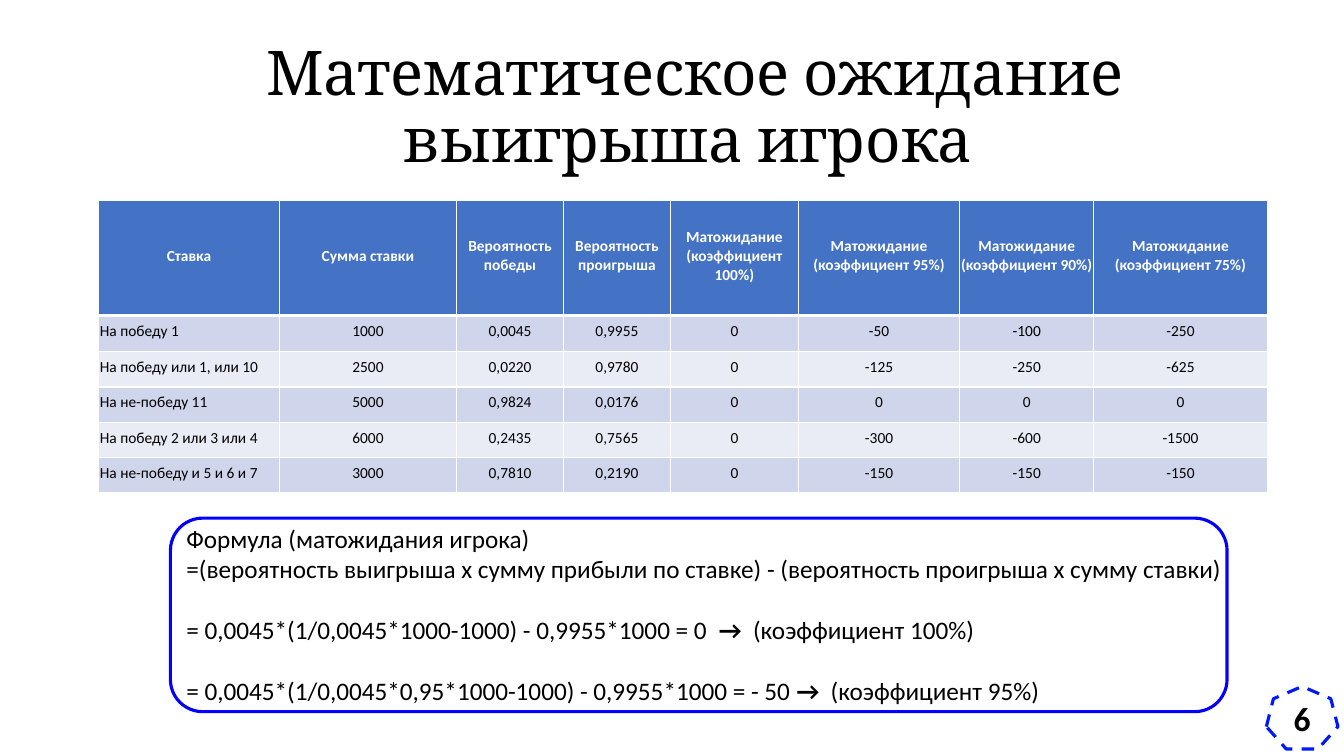
from pptx import Presentation
from pptx.dml.color import RGBColor
from pptx.enum.dml import MSO_LINE
from pptx.enum.shapes import MSO_SHAPE as SHAPE
from pptx.enum.text import MSO_ANCHOR as ANCHOR, PP_ALIGN as ALIGN
from pptx.oxml import parse_xml
from pptx.oxml.ns import nsdecls, qn
from pptx.util import Inches, Pt
from copy import deepcopy

TITLE = "Математическое ожидание выигрыша игрока "
HEADERS = ["Ставка", "Сумма ставки", "Вероятность\vпобеды", "Вероятность\vпроигрыша"]
HEADERS += [f"Матожидание\v(коэффициент {k}%)" for k in (100, 95, 90, 75)]
BETS = [
    ["На победу 1", "1000", "0,0045", "0,9955", "0", "-50", "-100", "-250"],
    ["На победу или 1, или 10", "2500", "0,0220", "0,9780", "0", "-125", "-250", "-625"],
    ["На не-победу 11", "5000", "0,9824", "0,0176", "0", "0", "0", "0"],
    ["На победу 2 или 3 или 4", "6000", "0,2435", "0,7565", "0", "-300", "-600", "-1500"],
    ["На не-победу и 5 и 6 и 7", "3000", "0,7810", "0,2190", "0", "-150", "-150", "-150"],
]
COL_WIDTHS = [1.79, 1.76, 1.06, 1.06, 1.27, 1.6, 1.33, 1.72]
ROW_HEIGHTS = [1.14, 0.36, 0.35, 0.35, 0.35, 0.35]
FORMULA = [
    (["Формула (матожидания игрока)"], 0),
    (["=(вероятность выигрыша x сумму прибыли по ставке) - "
      "(вероятность проигрыша x сумму ставки)"], 0),
    (["= 0,0045*(1/0,0045*1000-1000) - 0,9955*1000 = 0  ", "→ ",
      " (коэффициент 100%)"], 22),
    (["= 0,0045*(1/0,0045*0,95*1000-1000) - 0,9955*1000 = - 50 ", "→",
      "  (коэффициент 95%)"], 22),
]


def rgb(color):
    """Turn a hex string into a colour."""
    return RGBColor.from_string(color)


class SlideBuilder:
    """Holds the style and the current slide."""

    base = {"name": "Calibri", "size": Pt(18), "bold": False}
    white, black = "FFFFFF", "000000"
    header, bands = "4472C4", ("CFD5EA", "E9EBF5")

    def __init__(self, prs):
        """Add a slide with a title only."""
        self.slide = prs.slides.add_slide(prs.slide_layouts[5])
        self.shapes = self.slide.shapes

    def style(self, r, color=black, **changes):
        """Format one run."""
        for key, value in {**self.base, **changes}.items():
            setattr(r.font, key, value)
        r.font.color.rgb = rgb(color)

    def paragraph(self, p, text, align=ALIGN.CENTER, **changes):
        """Fill a paragraph, line breaks included."""
        p.text, p.alignment = text, align
        for r in p.runs:
            self.style(r, **changes)
        for br in p._p.findall(qn("a:br")):
            br.append(deepcopy(p.runs[0].font._rPr))

    def title(self, text, box):
        """Place and fill the title."""
        sp = self.shapes.title
        sp.left, sp.top, sp.width, sp.height = map(Inches, box)
        sp.text_frame.word_wrap = True
        sp.text_frame.vertical_anchor = ANCHOR.MIDDLE
        p = sp.text_frame.paragraphs[0]
        p.line_spacing = 0.9
        self.paragraph(p, text, name="Cambria", size=Pt(44))

    def shape(self, kind, box, line, dash=None):
        """Add a white outlined shape."""
        sp = self.shapes.add_shape(kind, *map(Inches, box))
        sp.shadow.inherit = False
        sp.fill.solid()
        sp.fill.fore_color.rgb = rgb(self.white)
        sp.line.color.rgb = rgb(line)
        sp.line.width = Pt(2.25)
        if dash:
            sp.line.dash_style = dash
        return sp

    def badge(self, text, box, line):
        """Add the dashed page number badge."""
        tf = self.shape(SHAPE.HEPTAGON, box, line, MSO_LINE.DASH).text_frame
        tf.vertical_anchor = ANCHOR.MIDDLE
        self.paragraph(tf.paragraphs[0], text, size=Pt(24), bold=True)

    def formula(self, lines, box):
        """Add the formula text with bold arrows."""
        tf = self.shapes.add_textbox(*map(Inches, box)).text_frame
        tf.word_wrap = True
        for i, (parts, gap) in enumerate(lines):
            p = tf.add_paragraph() if i else tf.paragraphs[0]
            p.space_before = Pt(gap)
            for part in parts:
                r = p.add_run()
                r.text = part
                self.style(r, bold="→" in part)

    def borders(self, cell, top, bottom):
        """Draw white cell borders."""
        widths = {"lnL": 1, "lnR": 1, "lnT": top, "lnB": bottom}
        for i, (tag, width) in enumerate(widths.items()):
            cell._tc.get_or_add_tcPr().insert(i, parse_xml(
                f'<a:{tag} {nsdecls("a")} w="{Pt(width)}"><a:solidFill>'
                f'<a:srgbClr val="{self.white}"/></a:solidFill></a:{tag}>'))

    def table(self, rows, widths, heights, left, top):
        """Add the banded table."""
        box = (left, top, sum(widths), sum(heights))
        table = self.shapes.add_table(len(rows), len(widths), *map(Inches, box)).table
        for column, width in zip(table.columns, widths):
            column.width = Inches(width)
        for i, (row, height) in enumerate(zip(table.rows, heights)):
            row.height = Inches(height)
            for j, cell in enumerate(row.cells):
                self.cell(cell, rows[i][j], i, j)

    def cell(self, cell, text, i, j):
        """Fill one table cell."""
        head = i == 0
        margins = {"margin_left": 0.01, "margin_right": 0.01,
                   "margin_top": 0.01, "margin_bottom": 0.05}
        for key, value in margins.items():
            setattr(cell, key, Inches(value))
        cell.vertical_anchor = ANCHOR.MIDDLE
        cell.fill.solid()
        cell.fill.fore_color.rgb = rgb(self.header if head else self.bands[(i - 1) % 2])
        self.borders(cell, 3 if i == 1 else 1, 3 if head else 1)
        self.paragraph(cell.text_frame.paragraphs[0], text,
                       ALIGN.CENTER if head or j else ALIGN.LEFT, size=Pt(11),
                       bold=head, color=self.white if head else self.black)


def main():
    """Build and save the slide."""
    prs = Presentation()
    prs.slide_width, prs.slide_height = Inches(13.33), Inches(7.5)
    s = SlideBuilder(prs)
    s.title(TITLE, (1.81, 0.29, 10.17, 1.58))
    s.shape(SHAPE.ROUNDED_RECTANGLE, (1.69, 5.14, 10.48, 1.92), "0400FF")
    s.table([HEADERS] + BETS, COL_WIDTHS, ROW_HEIGHTS, 0.98, 1.99)
    s.formula(FORMULA, (1.75, 5.14, 10.55, 1.92))
    s.badge("6", (12.56, 6.81, 0.71, 0.62), "0019FC")
    prs.save("out.pptx")


if __name__ == "__main__":
    main()
